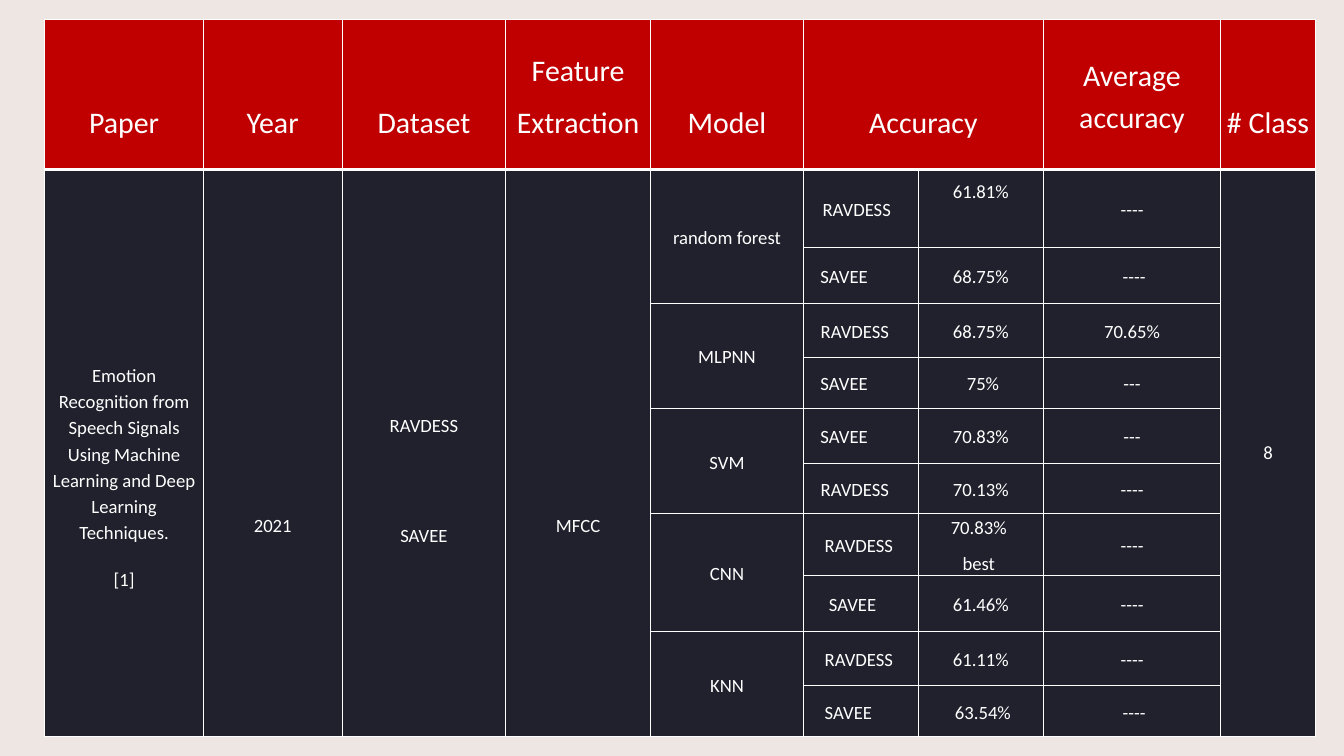
from dataclasses import dataclass

import lxml.etree
import pptx
import pptx.dml.color
import pptx.enum.text
import pptx.oxml.ns
import pptx.util

Pt = pptx.util.Pt
RGB = pptx.dml.color.RGBColor.from_string


@dataclass(frozen=True)
class Theme:
    font: str = "Calibri"
    page: str = "EDE6E2"
    header: str = "C00000"
    body: str = "20212C"
    ink: str = "FFFFFF"
    header_size: int = 32
    body_size: int = 20
    inset: float = 3.6
    thin: int = 1
    thick: int = 3


class SlideBuilder:
    def __init__(self, deck, theme):
        self.theme = theme
        self.page = deck.slides.add_slide(deck.slide_layouts[6])
        self.page.background.fill.solid()
        self.page.background.fill.fore_color.rgb = RGB(theme.page)

    def table(self, left, top, widths, heights):
        frame = self.page.shapes.add_table(
            len(heights), len(widths), Pt(left), Pt(top), Pt(sum(widths)), Pt(sum(heights)))
        grid = frame.table
        for name, value in {"first_row": False, "horz_banding": False}.items():
            setattr(grid, name, value)
        for column, width in zip(grid.columns, widths):
            column.width = Pt(width)
        for row, height in zip(grid.rows, heights):
            row.height = Pt(height)
        return grid

    def borders(self, box, **widths):
        """Draw the four cell edges; the lines must precede the fill."""
        properties = box._tc.get_or_add_tcPr()
        for index, side in enumerate("LRTB"):
            width = widths.get(side, self.theme.thin)
            line = lxml.etree.Element(pptx.oxml.ns.qn(f"a:ln{side}"), w=str(Pt(width)))
            fill = lxml.etree.SubElement(line, pptx.oxml.ns.qn("a:solidFill"))
            lxml.etree.SubElement(fill, pptx.oxml.ns.qn("a:srgbClr"), val=self.theme.ink)
            properties.insert(index, line)

    def paint(self, box, color, **widths):
        box.fill.solid()
        box.fill.fore_color.rgb = RGB(color)
        self.borders(box, **widths)

    def text(self, box, lines, size, left=0, right=0, above=0, below=0, **spacing):
        """Write paragraphs; the four extra insets move the text off centre."""
        inset = self.theme.inset
        layout = {
            "vertical_anchor": pptx.enum.text.MSO_ANCHOR.MIDDLE,
            "margin_left": Pt(inset + left), "margin_right": Pt(inset + right),
            "margin_top": Pt(above), "margin_bottom": Pt(below),
        }
        for name, value in layout.items():
            setattr(box, name, value)
        form = {"alignment": pptx.enum.text.PP_ALIGN.CENTER,
                "line_spacing": 1.15, "space_after": Pt(10), **spacing}
        for index, line in enumerate(lines.split("\n")):
            frame = box.text_frame
            para = frame.add_paragraph() if index else frame.paragraphs[0]
            for name, value in form.items():
                setattr(para, name, value)
            span = para.add_run()
            span.text = line
            for name, value in {"name": self.theme.font, "size": Pt(size)}.items():
                setattr(span.font, name, value)
            span.font.color.rgb = RGB(self.theme.ink)


WIDTHS = [170, 148.5, 175.5, 155, 164, 123, 134, 190, 101.5]
HEIGHTS = [160.5, 83.5, 60, 57.5, 55, 59, 54, 66, 60, 57.5, 55]

# Column, heading, inset above
HEADINGS = [
    (0, "Paper", 55), (1, "Year", 55), (2, "Dataset", 55), (3, "Feature\nExtraction", 0),
    (4, "Model", 55), (5, "Accuracy", 55), (7, "Average accuracy", 0), (8, "# Class", 55),
]

# Column, text, format of the cells that run down the whole body
TALL_CELLS = [
    (0, "Emotion Recognition from Speech Signals Using Machine Learning "
        "and Deep Learning Techniques.\n[1]", {"above": 50, "space_before": Pt(12)}),
    (1, "2021", {"above": 152}),
    (2, "RAVDESS\nSAVEE", {"above": 56}),
    (3, "MFCC", {"above": 152}),
    (8, "8", {"line_spacing": 1.0}),
]

MODELS = ["random forest", "MLPNN", "SVM", "CNN", "KNN"]

# Dataset, its right inset, accuracy, average accuracy
RESULTS = [
    ("RAVDESS", 9, "61.81%", "----"),
    ("SAVEE", 36, "68.75%", "----"),
    ("RAVDESS", 13, "68.75%", "70.65%"),
    ("SAVEE", 36, "75%", "---"),
    ("SAVEE", 36, "70.83%", "---"),
    ("RAVDESS", 13, "70.13%", "----"),
    ("RAVDESS", 4.5, "70.83%\nbest", "----"),
    ("SAVEE", 18, "61.46%", "----"),
    ("RAVDESS", 4.5, "61.11%", "----"),
    ("SAVEE", 27, "63.54%", "----"),
]
ACCURACY_INSETS = {1: {"below": 38}, 4: {"left": 4.5}, 7: {"right": 4.5}, 10: {"left": 4.5}}
AVERAGE_INSETS = {2: {"left": 4.5}, 10: {"left": 4.5}}


def main():
    deck = pptx.Presentation()
    deck.slide_width, deck.slide_height = Pt(1440), Pt(810)
    theme = Theme()
    builder = SlideBuilder(deck, theme)
    grid = builder.table(48, 21, WIDTHS, HEIGHTS)
    last = len(HEIGHTS) - 1

    # Fills and borders, with a thick rule under the header
    for row in range(len(HEIGHTS)):
        edge = {0: {"B": theme.thick}, 1: {"T": theme.thick}}.get(row, {})
        for column in range(len(WIDTHS)):
            color = theme.body if row else theme.header
            builder.paint(grid.cell(row, column), color, **edge)

    # Header
    grid.cell(0, 5).merge(grid.cell(0, 6))
    for column, heading, above in HEADINGS:
        builder.text(grid.cell(0, column), heading, theme.header_size, above=above)

    # Cells shared by all results
    for column, words, form in TALL_CELLS:
        grid.cell(1, column).merge(grid.cell(last, column))
        builder.text(grid.cell(1, column), words, theme.body_size, **form)
    grid.cell(1, 2).text_frame.paragraphs[1].space_before = Pt(80)

    # Models, two rows each
    for index, model in enumerate(MODELS):
        row = 1 + 2 * index
        grid.cell(row, 4).merge(grid.cell(row + 1, 4))
        builder.text(grid.cell(row, 4), model, theme.body_size)

    # Results
    for row, (dataset, right, accuracy, average) in enumerate(RESULTS, start=1):
        builder.text(grid.cell(row, 5), dataset, theme.body_size, right=right)
        builder.text(grid.cell(row, 6), accuracy, theme.body_size, **ACCURACY_INSETS.get(row, {}))
        builder.text(grid.cell(row, 7), average, theme.body_size, **AVERAGE_INSETS.get(row, {}))

    deck.save("out.pptx")


if __name__ == "__main__":
    main()
